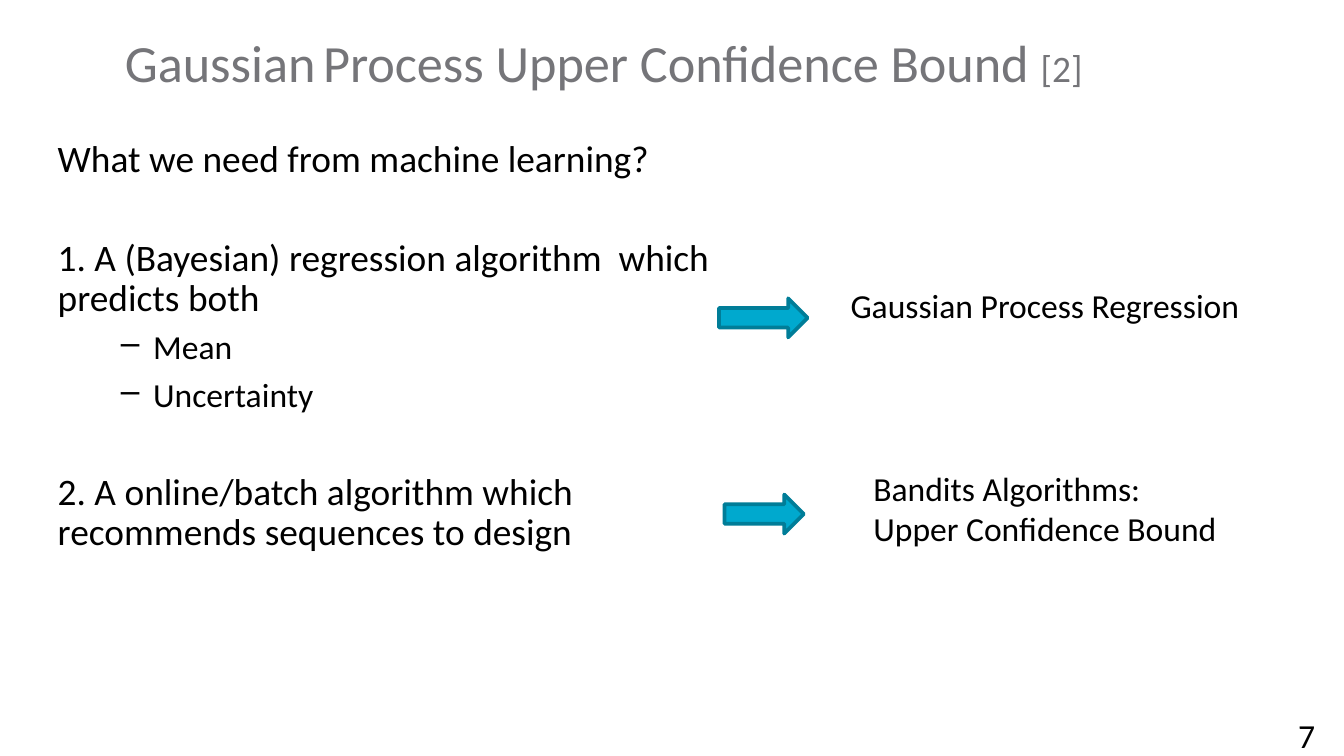
from lxml import etree
from pptx import Presentation, util as u
from pptx.dml.color import RGBColor
from pptx.enum import shapes, text
from pptx.oxml.ns import qn

WIDTH = u.Inches(10)
HEIGHT = WIDTH * 9 // 16
FONT = "Calibri"
COLORS = {
    "ink": "000000",
    "heading": "757579",
    "arrow": "00A9CE",
    "arrow_edge": "007D98",
}
PLAIN_FRAME = {"margin_left": 0, "margin_top": 0, "margin_right": 0,
               "margin_bottom": 0, "word_wrap": True,
               "vertical_anchor": text.MSO_ANCHOR.TOP}
LABEL_FRAME = {"word_wrap": False,
               "auto_size": text.MSO_AUTO_SIZE.SHAPE_TO_FIT_TEXT}
SECTION_GAP, LINE_GAP = 31.5, 6

# wording, size, space before, is a dash item
NEEDS = [
    ("What we need from machine learning?", 20, 0, False),
    ("1. A (Bayesian) regression algorithm  which predicts both",
     20, SECTION_GAP, False),
    ("Mean", 18, LINE_GAP, True),
    ("Uncertainty", 18, LINE_GAP, True),
    ("2. A online/batch algorithm which recommends sequences to design",
     20, SECTION_GAP, False),
]


def color(name):
    return RGBColor.from_string(COLORS[name])


def place(left, top, width, height):
    """Turn percentages of the slide's width and height into lengths."""
    return (int(WIDTH * left / 100), int(HEIGHT * top / 100),
            int(WIDTH * width / 100), int(HEIGHT * height / 100))


def apply(target, values):
    for name, value in values.items():
        setattr(target, name, value)


def add_frame(slide, area, values):
    frame = slide.shapes.add_textbox(*place(*area)).text_frame
    apply(frame, values)
    return frame


def paragraphs(frame, count):
    return [frame.paragraphs[0]] + [frame.add_paragraph()
                                    for _ in range(count - 1)]


def add_run(paragraph, wording, size, ink="ink"):
    run = paragraph.add_run()
    run.text = wording
    apply(run.font, {"name": FONT, "size": u.Pt(size)})
    run.font.color.rgb = color(ink)


def indent(paragraph, left, first=0, bullet=None):
    """Set indents in inches, with an optional bullet character."""
    properties = paragraph._p.get_or_add_pPr()
    properties.set("marL", str(u.Inches(left)))
    properties.set("indent", str(u.Inches(first)))
    if bullet:
        etree.SubElement(properties, qn("a:buChar")).set("char", bullet)


def add_title(slide):
    paragraph = add_frame(slide, (4.3, 3.95, 83.6, 12.44),
                          PLAIN_FRAME).paragraphs[0]
    indent(paragraph, 0.5)
    for wording, size in [("Gaussian", 28), (" ", 18),
                          ("Process Upper Confidence Bound ", 28),
                          ("[2]", 20)]:
        add_run(paragraph, wording, size, "heading")


def add_needs(slide):
    frame = add_frame(slide, (4.3, 18.5, 52.6, 61.87), PLAIN_FRAME)
    for paragraph, need in zip(paragraphs(frame, len(NEEDS)), NEEDS):
        wording, size, gap, is_dash_item = need
        if is_dash_item:
            paragraph.level = 1
            indent(paragraph, 0.71, -0.24, "–")
        apply(paragraph, {"line_spacing": 0.9, "space_before": u.Pt(gap)})
        add_run(paragraph, wording, size)


def add_label(slide, area, lines):
    frame = add_frame(slide, area, LABEL_FRAME)
    for paragraph, line in zip(paragraphs(frame, len(lines)), lines):
        add_run(paragraph, line, 18)


def add_arrow(slide, area):
    arrow = slide.shapes.add_shape(shapes.MSO_SHAPE.RIGHT_ARROW, *place(*area))
    arrow.shadow.inherit = False
    arrow.fill.solid()
    arrow.fill.fore_color.rgb = color("arrow")
    arrow.line.color.rgb = color("arrow_edge")
    arrow.line.width = u.Pt(2)


def main():
    deck = Presentation()
    apply(deck, {"slide_width": WIDTH, "slide_height": HEIGHT})
    slide = deck.slides.add_slide(deck.slide_layouts[6])

    add_needs(slide)
    add_title(slide)
    add_arrow(slide, (53.5, 39.47, 6.6, 5.16))
    add_label(slide, (62.3, 36.8, 31.2, 7.11), ["Gaussian Process Regression"])
    add_arrow(slide, (53.9, 65.42, 5.9, 5.16))
    add_label(slide, (64, 60.98, 27.9, 12.62),
              ["Bandits Algorithms:", "Upper Confidence Bound"])
    add_label(slide, (95.6, 93.69, 3.3, 7.11), ["7"])
    deck.save("out.pptx")


if __name__ == "__main__":
    main()
